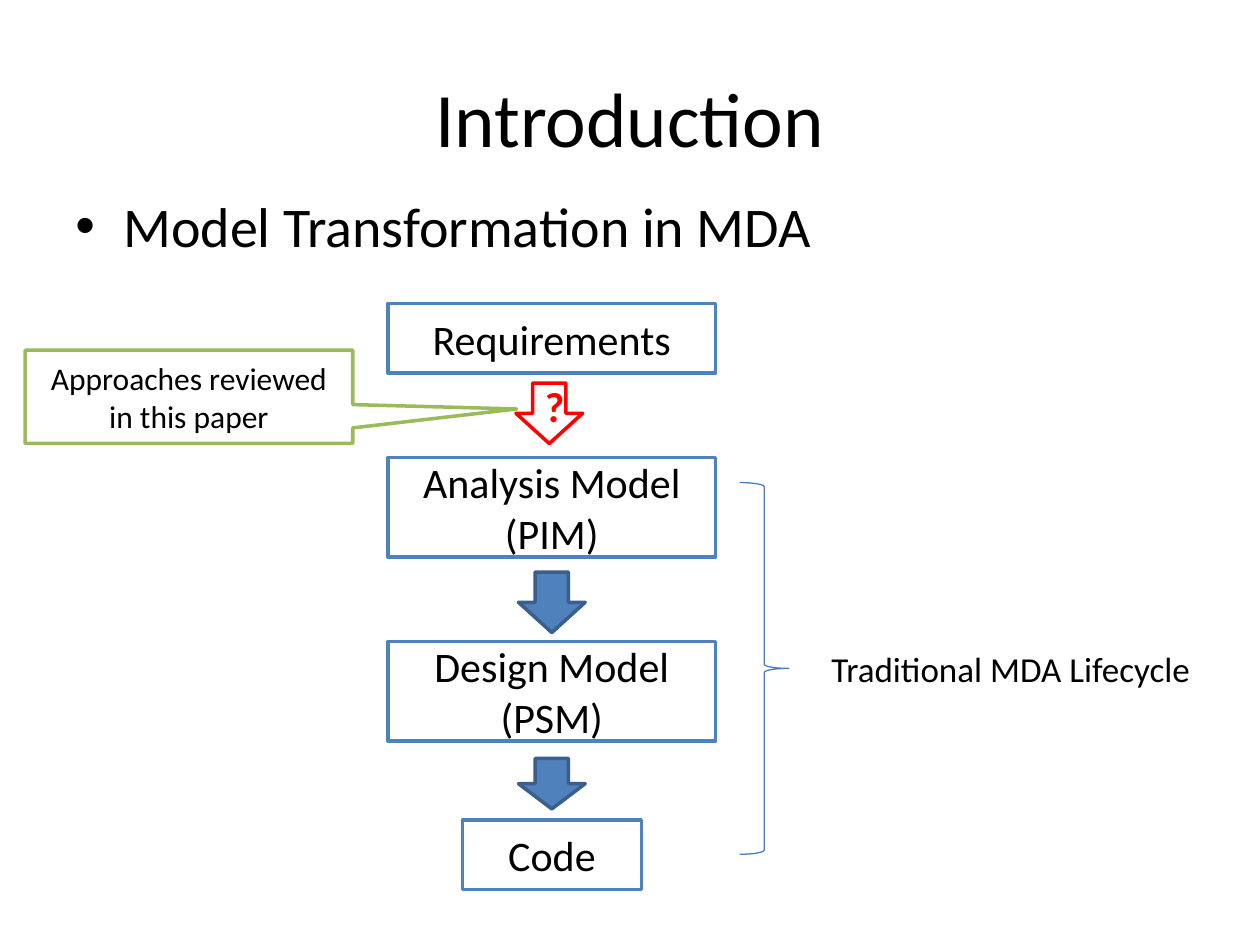
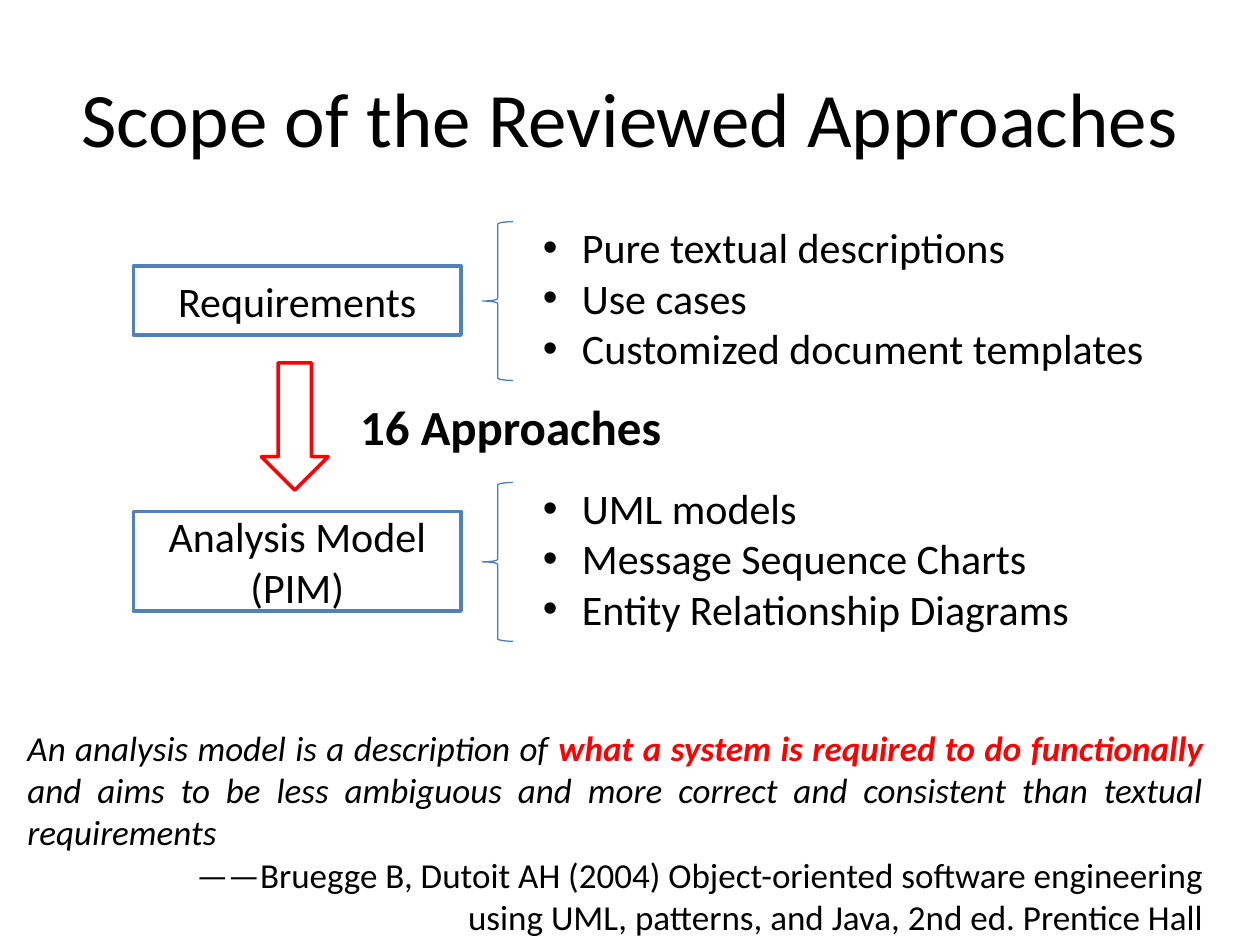
from lxml import etree
from pptx import Presentation
from pptx.dml.color import RGBColor
from pptx.enum.shapes import MSO_SHAPE
from pptx.enum.text import MSO_ANCHOR, MSO_AUTO_SIZE, PP_ALIGN
from pptx.oxml.ns import qn
from pptx.util import Inches, Pt

RECT, DOWN, CALLOUT = MSO_SHAPE.RECTANGLE, MSO_SHAPE.DOWN_ARROW, MSO_SHAPE.RECTANGULAR_CALLOUT
LEFT_BRACE, RIGHT_BRACE = MSO_SHAPE.LEFT_BRACE, MSO_SHAPE.RIGHT_BRACE
LEFT, CENTER, RIGHT, JUSTIFY = PP_ALIGN.LEFT, PP_ALIGN.CENTER, PP_ALIGN.RIGHT, PP_ALIGN.JUSTIFY
TOP, MIDDLE = MSO_ANCHOR.TOP, MSO_ANCHOR.MIDDLE
FIT = MSO_AUTO_SIZE.SHAPE_TO_FIT_TEXT

COLORS = dict(text="000000", paper="FFFFFF", blue="4F81BD", edge="3A5F8C",
              brace="4B7EBC", red="FF0000", green="9BBB59")
FONT = "Calibri"
TITLE_BOX = (0.5, 0.3, 9, 1.25)
MODEL_W, ARROW_W = 2.6, 0.53
ONE_LINE, TWO_LINES = 0.55, 0.79

# Slide 1: (lines, top, width, height) down the middle, then arrows (top, height)
FLOW_X = 4.38
FLOW = [
    (["Requirements"], 2.41, MODEL_W, ONE_LINE),
    (["Analysis Model", "(PIM)"], 3.63, MODEL_W, TWO_LINES),
    (["Design Model", "(PSM)"], 5.09, MODEL_W, TWO_LINES),
    (["Code"], 6.51, 1.42, ONE_LINE),
]
FLOW_ARROWS = [(4.54, 0.48), (6.02, 0.4)]

# Slide 2: (lines, box top, box height, brace top, examples, examples width)
SCOPE_X = 2.36
SCOPE = [
    (["Requirements"], 2.11, ONE_LINE, 1.76,
     ["Pure textual descriptions", "Use cases", "Customized document templates"], 5.02),
    (["Analysis Model", "(PIM)"], 4.06, TWO_LINES, 3.83,
     ["UML models", "Message Sequence Charts", "Entity Relationship Diagrams"], 4.42),
]
ITALIC = dict(italic=True)
QUOTE = [
    (JUSTIFY, [("An analysis model is a description of ", ITALIC),
               ("what a system is required to do functionally ",
                dict(italic=True, bold=True, color="red")),
               ("and aims to be less ambiguous and more correct and consistent "
                "than textual requirements", ITALIC)]),
    (RIGHT, [("——", ITALIC),
             ("Bruegge B, Dutoit AH (2004) Object-oriented software engineering", {})]),
    (RIGHT, [("using UML, patterns, and Java, 2nd ed. Prentice Hall", {})]),
]


def rgb(name):
    return RGBColor.from_string(COLORS[name])


def add_bullet(p, indent):
    pPr = p._p.get_or_add_pPr()
    pPr.set("marL", str(Inches(indent)))
    pPr.set("indent", str(-Inches(indent)))
    etree.SubElement(pPr, qn("a:buFont")).set("typeface", "Arial")
    etree.SubElement(pPr, qn("a:buChar")).set("char", "•")


def write(tf, paras, size, align=LEFT, indent=0, color="text", bold=False):
    """Fill a frame; a paragraph is a string or (alignment, [(text, format)])."""
    for i, para in enumerate(paras):
        p = tf.add_paragraph() if i else tf.paragraphs[0]
        p.alignment, runs = (align, [(para, {})]) if isinstance(para, str) else para
        if indent:
            add_bullet(p, indent)
        for text, extra in runs:
            values = dict(name=FONT, size=Pt(size), bold=bold, color=color) | extra
            r = p.add_run()
            r.text = text
            r.font.color.rgb = rgb(values.pop("color"))
            for key, value in values.items():
                setattr(r.font, key, value)


def add_text(s, box, paras, size, wrap=False, anchor=TOP, grow=True, **fmt):
    tf = s.shapes.add_textbox(*map(Inches, box)).text_frame
    tf.word_wrap, tf.vertical_anchor = wrap, anchor
    if grow:
        tf.auto_size = FIT
    write(tf, paras, size, **fmt)


def add_shape(s, kind, box, line, fill=None, width=2, paras=(), size=24, **fmt):
    sp = s.shapes.add_shape(kind, *map(Inches, box))
    sp.shadow.inherit = False
    if fill:
        sp.fill.solid()
        sp.fill.fore_color.rgb = rgb(fill)
    else:
        sp.fill.background()
    sp.line.color.rgb = rgb(line)
    sp.line.width = Pt(width)
    sp.text_frame.vertical_anchor = MIDDLE
    write(sp.text_frame, paras, size, align=CENTER, **fmt)
    return sp


def add_model(s, x, top, w, h, lines):
    add_shape(s, RECT, (x - w / 2, top, w, h), "blue", "paper", paras=lines)


def add_arrow(s, x, top, h, line="red", fill="paper", **text):
    add_shape(s, DOWN, (x - ARROW_W / 2, top, ARROW_W, h), line, fill, **text)


def add_brace(s, kind, box):
    add_shape(s, kind, box, "brace", width=0.75)


def add_titled_slide(prs, title):
    s = prs.slides.add_slide(prs.slide_layouts[6])
    add_text(s, TITLE_BOX, [title], 44, wrap=True, anchor=MIDDLE, grow=False, align=CENTER)
    return s


def build_introduction(prs):
    s = add_titled_slide(prs, "Introduction")
    add_text(s, (0.5, 1.47, 9, 4.95), ["Model Transformation in MDA"], 32,
             wrap=True, grow=False, indent=0.38)
    for lines, top, w, h in FLOW:
        add_model(s, FLOW_X, top, w, h, lines)
    for top, h in FLOW_ARROWS:
        add_arrow(s, FLOW_X, top, h, "edge", "blue")
    add_arrow(s, FLOW_X - 0.02, 3.04, 0.48, paras=["?"], color="red", bold=True)
    add_brace(s, RIGHT_BRACE, (5.87, 3.83, 0.39, 2.95))
    add_text(s, (6.5, 5.09, 3.08, 0.44), ["Traditional MDA Lifecycle"], 20)
    callout = add_shape(s, CALLOUT, (0.2, 2.78, MODEL_W, 0.74), "green", "paper",
                        paras=["Approaches reviewed in this paper"], size=18)
    callout.adjustments[0], callout.adjustments[1] = 1, 0.13


def build_scope(prs):
    s = add_titled_slide(prs, "Scope of the Reviewed Approaches")
    for lines, top, h, brace_top, examples, w in SCOPE:
        add_model(s, SCOPE_X, top, MODEL_W, h, lines)
        add_brace(s, LEFT_BRACE, (3.83, brace_top, 0.24, 1.26))
        add_text(s, (4.21, brace_top - 0.05, w, 1.31), examples, 24, indent=0.31)
    add_arrow(s, SCOPE_X - 0.02, 2.88, 1.01)
    add_text(s, (2.76, 3.1, 2.62, 0.57), ["16 Approaches"], 28, bold=True)
    add_text(s, (0.12, 5.72, 9.53, 1.78), QUOTE, 20, wrap=True)


def main():
    prs = Presentation()
    prs.slide_width, prs.slide_height = Inches(10), Inches(7.5)
    build_introduction(prs)
    build_scope(prs)
    prs.save("out.pptx")


if __name__ == "__main__":
    main()
